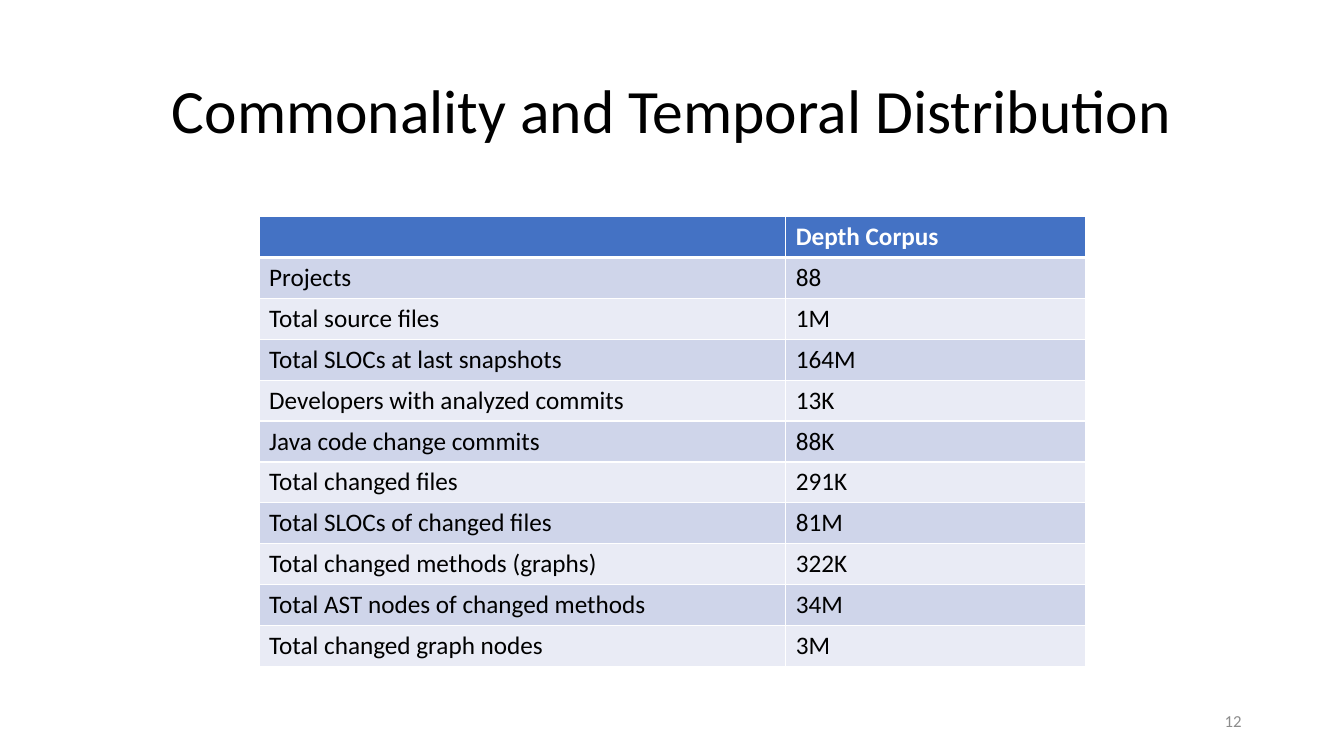
from lxml.etree import SubElement
from pptx import Presentation
from pptx.dml.color import RGBColor
from pptx.enum.text import MSO_ANCHOR, PP_ALIGN
from pptx.oxml.ns import qn
from pptx.util import Cm, Pt

COLORS = {
    "text": "000000",
    "white": "FFFFFF",
    "number": "8C8C8C",
    "header": "4472C4",
    "odd": "CFD5EA",
    "even": "E9EBF5",
}

ROWS = [
    ("", "Depth Corpus"),
    ("Projects", "88"),
    ("Total source files", "1M"),
    ("Total SLOCs at last snapshots", "164M"),
    ("Developers with analyzed commits", "13K"),
    ("Java code change commits", "88K"),
    ("Total changed files", "291K"),
    ("Total SLOCs of changed files", "81M"),
    ("Total changed methods (graphs)", "322K"),
    ("Total AST nodes of changed methods", "34M"),
    ("Total changed graph nodes", "3M"),
]
COL_WIDTHS = (Cm(13.27), Cm(7.55))
ROW_HEIGHT = Cm(1.03)


def rgb(name):
    return RGBColor.from_string(COLORS[name])


def format_font(font, size, color, bold=False):
    values = {"name": "Calibri", "size": Pt(size), "bold": bold}
    for key, value in values.items():
        setattr(font, key, value)
    font.color.rgb = rgb(color)


def add_text(s, text, box, size, color, align, spacing=1.0):
    tf = s.shapes.add_textbox(*box).text_frame
    for key, value in {"word_wrap": True, "vertical_anchor": MSO_ANCHOR.MIDDLE}.items():
        setattr(tf, key, value)
    p = tf.paragraphs[0]
    for key, value in {"alignment": align, "line_spacing": spacing}.items():
        setattr(p, key, value)
    r = p.add_run()
    r.text = text
    format_font(r.font, size, color)


def set_borders(cell, bottom):
    tcPr = cell._tc.get_or_add_tcPr()
    for side, width in {"L": 1, "R": 1, "T": 1, "B": bottom}.items():
        line = SubElement(tcPr, qn(f"a:ln{side}"), w=str(Pt(width)))
        fill = SubElement(line, qn("a:solidFill"))
        SubElement(fill, qn("a:srgbClr"), val=COLORS["white"])


def add_corpus_table(s, left, top):
    table = s.shapes.add_table(len(ROWS), len(COL_WIDTHS), left, top,
                               sum(COL_WIDTHS), ROW_HEIGHT * len(ROWS)).table
    for column, width in zip(table.columns, COL_WIDTHS):
        column.width = width
    for i, texts in enumerate(ROWS):
        table.rows[i].height = ROW_HEIGHT
        header = i == 0
        band = "header" if header else ("even", "odd")[i % 2]
        for j, text in enumerate(texts):
            cell = table.cell(i, j)
            set_borders(cell, 3 if header else 1)
            cell.fill.solid()
            cell.fill.fore_color.rgb = rgb(band)
            p = cell.text_frame.paragraphs[0]
            if text:
                r = p.add_run()
                r.text = text
                format_font(r.font, 18, "white" if header else "text", header)


def main():
    prs = Presentation()
    prs.slide_width, prs.slide_height = Cm(33.87), Cm(19.05)
    s = prs.slides.add_slide(prs.slide_layouts[6])

    # Title
    add_text(s, "Commonality and Temporal Distribution",
             (Cm(2.33), Cm(1.01), Cm(29.21), Cm(3.68)),
             44, "text", PP_ALIGN.CENTER, 0.9)

    # Corpus figures
    add_corpus_table(s, Cm(6.53), Cm(5.46))

    # Slide number
    add_text(s, "12", (Cm(23.92), Cm(17.66), Cm(7.62), Cm(1.01)),
             12, "number", PP_ALIGN.RIGHT)

    prs.save("out.pptx")


if __name__ == "__main__":
    main()
